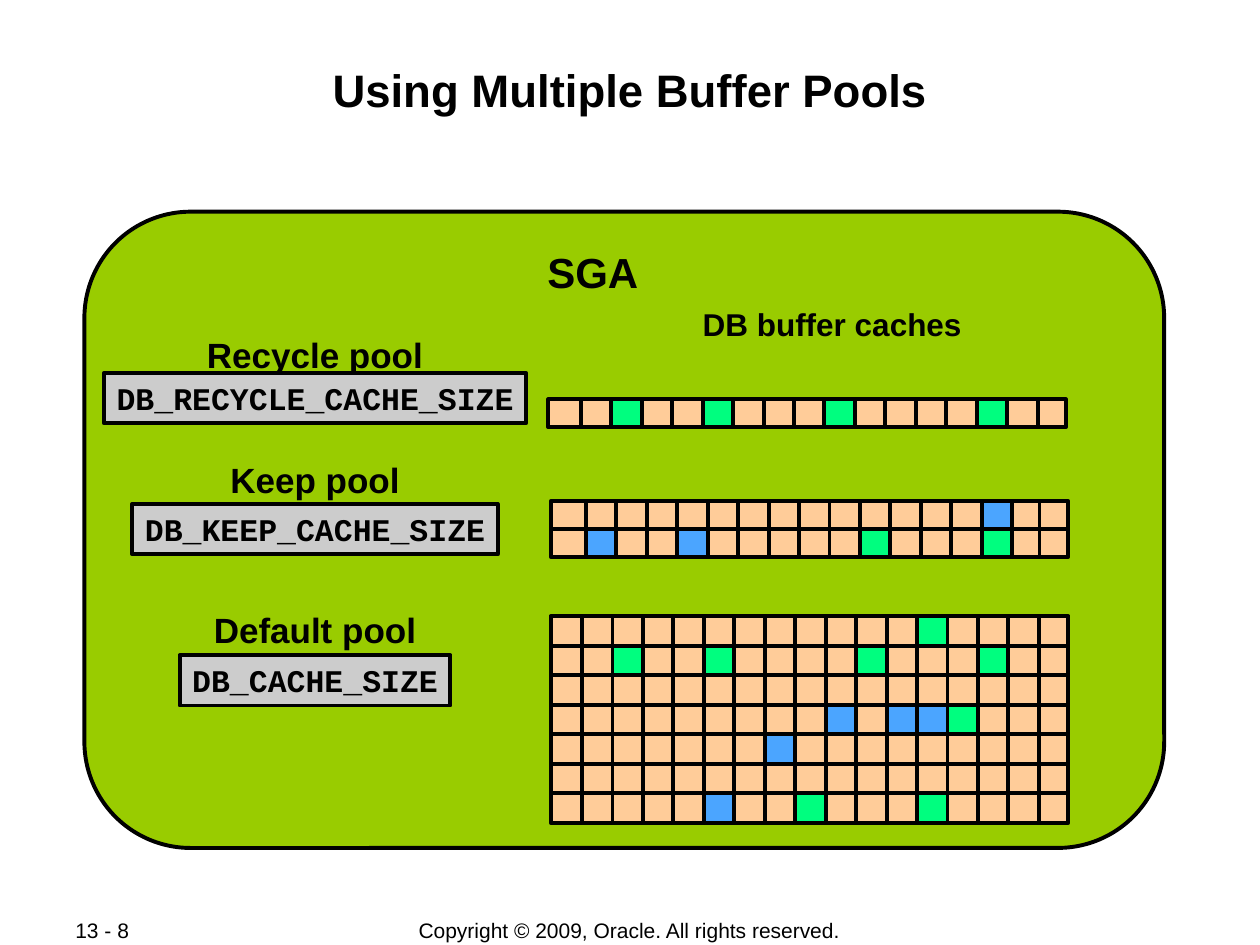
from pptx import Presentation
from pptx.dml.color import RGBColor
from pptx.enum.shapes import MSO_CONNECTOR, MSO_SHAPE
from pptx.enum.text import MSO_ANCHOR, PP_ALIGN
from pptx.oxml.xmlchemy import OxmlElement
from pptx.util import Inches, Pt

LINE = MSO_CONNECTOR.STRAIGHT
RECT, ROUNDED = MSO_SHAPE.RECTANGLE, MSO_SHAPE.ROUNDED_RECTANGLE
CENTER, LEFT = PP_ALIGN.CENTER, PP_ALIGN.LEFT
TOP, MIDDLE = MSO_ANCHOR.TOP, MSO_ANCHOR.MIDDLE

THEME = {
    "ink": "000000", "panel": "99CC00", "code_box": "CCCCCC",
    ".": "FFCC99", "G": "00FE7F", "B": "4BA5FF",
    "sans": "Arial", "mono": "Courier New", "line": 2.25,
    "title": 26, "area": 24, "pool": 20, "body": 18, "footer": 12,
}

HEADINGS = [
    ("Using Multiple Buffer Pools", "title", (0.67, 0.44, 8.66, 0.96)),
    ("SGA", "area", (3.85, 1.91, 1.71, 0.5)),
    ("DB buffer caches", "body", (4.59, 2.37, 4.03, 0.4)),
]
FOOTERS = [
    ("13 - 8", LEFT, (0.5, 7.28, 1.06, 0.21)),
    ("Copyright © 2009, Oracle. All rights reserved.", CENTER, (2.75, 7.28, 4.49, 0.21)),
]
POOLS = [
    {"name": "Recycle pool", "name_top": 2.6,
     "code": "DB_RECYCLE_CACHE_SIZE", "code_top": 2.96, "code_width": 3.35,
     "grid": (4.35, 3.17, 0.22), "first_divider": 4.61,
     "cells": ["..G..G...G....G.."]},
    {"name": "Keep pool", "name_top": 3.59,
     "code": "DB_KEEP_CACHE_SIZE", "code_top": 4, "code_width": 2.9,
     "grid": (4.37, 3.98, 0.44), "first_divider": 4.65,
     "cells": ["..............B..",
               ".B..B.....G...G.."]},
    {"name": "Default pool", "name_top": 4.78,
     "code": "DB_CACHE_SIZE", "code_top": 5.2, "code_width": 2.15,
     "grid": (4.37, 4.89, 1.64), "first_divider": 4.62,
     "cells": ["............G....",
               "..G..G....G...G..",
               ".................",
               ".........B.BBG...",
               ".......B.........",
               ".................",
               ".....B..G...G...."]},
]
PANEL = (0.67, 1.68, 8.57, 5.05)
LABEL_CENTER, LABEL_WIDTH = 2.5, 1.92
GRID_WIDTH, COLUMN_PITCH, LAST_DIVIDER = 4.11, 0.2417, 8.25
OVERHANG = 0.01


def color(key):
    return RGBColor.from_string(THEME[key])


def write(sp, text, size, font="sans", bold=True, align=CENTER, anchor=TOP, wrap=True):
    tf = sp.text_frame
    tf.word_wrap = wrap
    tf.vertical_anchor = anchor
    p = tf.paragraphs[0]
    p.text, p.alignment = text, align
    p.font.name, p.font.size, p.font.bold = THEME[font], Pt(THEME[size]), bold
    p.font.color.rgb = color("ink")


def add_text(s, box, *args, **kwargs):
    write(s.shapes.add_textbox(*map(Inches, box)), *args, **kwargs)


def add_box(s, box, fill, kind=RECT):
    sp = s.shapes.add_shape(kind, *map(Inches, box))
    sp.shadow.inherit = False
    sp.fill.solid()
    sp.fill.fore_color.rgb = color(fill)
    sp.line.color.rgb = color("ink")
    sp.line.width = Pt(THEME["line"])
    return sp


def add_line(s, *ends):
    sp = s.shapes.add_connector(LINE, *map(Inches, ends))
    sp.line.color.rgb = color("ink")
    sp.line.width = Pt(THEME["line"])
    sp._element.spPr.append(OxmlElement("a:effectLst"))


def add_grid(s, pool):
    left, top, height = pool["grid"]
    cells = pool["cells"]
    right, bottom = left + GRID_WIDTH, top + height
    row_height = height / len(cells)
    dividers = [min(pool["first_divider"] + i * COLUMN_PITCH, LAST_DIVIDER)
                for i in range(len(cells[0]) - 1)]
    edges = [left, *dividers, right]
    add_box(s, (left, top, GRID_WIDTH, height), ".")
    for x in dividers:
        add_line(s, x, top - OVERHANG, x, bottom + OVERHANG)
    for row in range(1, len(cells)):
        y = top + row * row_height
        add_line(s, left, y, right, y)
    for row, marks in enumerate(cells):
        for col, mark in enumerate(marks):
            if mark != ".":
                x = edges[col]
                add_box(s, (x, top + row * row_height, edges[col + 1] - x, row_height), mark)


def add_pool(s, pool):
    add_grid(s, pool)
    label = (LABEL_CENTER - LABEL_WIDTH / 2, pool["name_top"], LABEL_WIDTH, 0.43)
    add_text(s, label, pool["name"], "pool", wrap=False)
    width = pool["code_width"]
    sp = add_box(s, (LABEL_CENTER - width / 2, pool["code_top"], width, 0.4), "code_box")
    write(sp, pool["code"], "body", font="mono", anchor=MIDDLE, wrap=False)


def main():
    """Build the buffer pools slide and save it."""
    prs = Presentation()
    prs.slide_width, prs.slide_height = Inches(10), Inches(7.5)
    s = prs.slides.add_slide(prs.slide_layouts[6])
    for text, align, box in FOOTERS:
        add_text(s, box, text, "footer", bold=False, align=align, anchor=MIDDLE)
    panel = add_box(s, PANEL, "panel", ROUNDED)
    panel.adjustments[0] = 0.167
    for text, size, box in HEADINGS:
        add_text(s, box, text, size)
    for pool in POOLS:
        add_pool(s, pool)
    prs.save("out.pptx")


if __name__ == "__main__":
    main()
